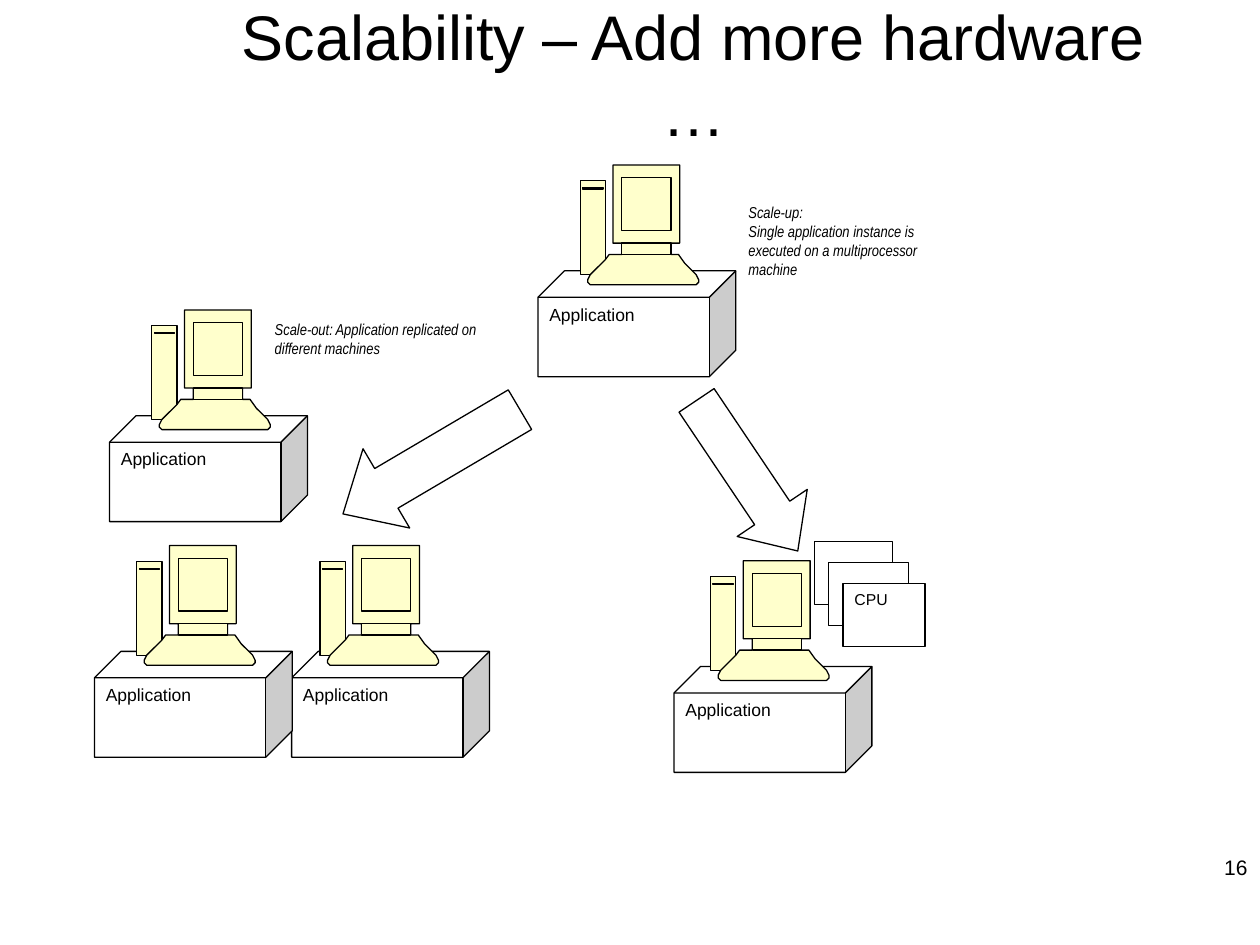
from copy import deepcopy
from dataclasses import dataclass
from typing import NamedTuple

from pptx import Presentation
from pptx import util as u
from pptx.dml.color import RGBColor
from pptx.enum import shapes, text
from pptx.oxml.ns import qn

BLACK = RGBColor(0x00, 0x00, 0x00)
WHITE = RGBColor(0xFF, 0xFF, 0xFF)
CREAM = RGBColor(0xFF, 0xFF, 0xCC)

# The slide is a grid of 100 columns by 75 rows
CELL = u.Inches(0.1)
COLUMNS, ROWS = 100, 75


class Area(NamedTuple):
    column: float
    row: float
    columns: float
    rows: float

    def lengths(self) -> list[int]:
        return [cells(value) for value in self]

    def corners(self) -> list[tuple[float, float]]:
        right, bottom = self.column + self.columns, self.row + self.rows
        return [(self.column, self.row), (right, self.row),
                (right, bottom), (self.column, bottom)]


@dataclass(frozen=True)
class Machine:
    column: float
    row: float
    computer_shift: float = 3.35


@dataclass(frozen=True)
class BlockArrow:
    area: Area
    rotation: float
    head: float


@dataclass(frozen=True)
class Label:
    area: Area
    words: str
    size: float
    font: str = "Arial"
    italic: bool = False
    align: text.PP_ALIGN = text.PP_ALIGN.LEFT
    anchor: text.MSO_ANCHOR = text.MSO_ANCHOR.TOP
    side_margin: float = 0.09


MIDDLE = text.MSO_ANCHOR.MIDDLE
LABELS = [
    Label(Area(15.1, 0.5, 79.9, 10.6), "Scalability – Add more hardware …", 36,
          align=text.PP_ALIGN.CENTER, anchor=MIDDLE, side_margin=0.15),
    Label(Area(76.7, 66.8, 23.3, 4), "16", 12,
          align=text.PP_ALIGN.RIGHT, anchor=MIDDLE, side_margin=0.1),
    Label(Area(20.9, 24.9, 17.9, 8.4),
          "Scale-out: Application replicated on different machines",
          9, "Arial Narrow", True),
    Label(Area(58.5, 15.6, 17.4, 12.4),
          "Scale-up:\nSingle application instance is executed on a "
          "multiprocessor machine", 9, "Arial Narrow", True),
]
MACHINES = [
    Machine(42.7, 21.5),
    Machine(23.15, 51.7, 2.25),
    Machine(7.5, 51.7),
    Machine(53.5, 52.9, 2.9),
    Machine(8.7, 33),
]
ARROWS = [
    BlockArrow(Area(26.1, 33, 16.3, 7.3), 329.5, 0.547),
    BlockArrow(Area(52.1, 34.4, 14.4, 6.7), 236.1, 0.543),
]

# Computer parts, measured from the computer's top left corner
COMPUTER_HEIGHT = 8.4  # rows from its top to the top of the cube
TOWER = Area(0, 1.25, 2, 7.45)
SLOT = Area(0.2, 1.8, 1.6, 0.1)
SCREEN = Area(3.3, 1, 3.9, 4.2)
NECK = Area(3.3, 6.2, 3.9, 0.9)
MONITOR_OUTLINE = [
    (2, 7.5), (2.3, 7.1), (3.3, 7.1), (3.3, 6.2), (2.6, 6.2), (2.6, 0),
    (7.9, 0), (7.9, 6.2), (7.2, 6.2), (7.2, 7.1), (7.8, 7.1), (8.3, 7.8),
    (9.2, 8.7), (9.4, 9.1), (9.4, 9.3), (9.2, 9.5), (0.8, 9.5), (0.6, 9.3),
    (0.6, 9.1), (0.8, 8.7),
]
COMPUTER = [TOWER.corners(), MONITOR_OUTLINE, SLOT.corners(),
            SCREEN.corners(), NECK.corners()]


def cells(count: float) -> int:
    return round(count * CELL)


def paint(shape, fill: RGBColor | None) -> None:
    shape.shadow.inherit = False
    if fill is None:
        shape.fill.background()
    else:
        shape.fill.solid()
        shape.fill.fore_color.rgb = fill
    shape.line.color.rgb = BLACK
    shape.line.width = u.Pt(0.75)


def write(shape, label: Label) -> None:
    frame = shape.text_frame
    frame.word_wrap = True
    frame.vertical_anchor = label.anchor
    frame.margin_left = frame.margin_right = u.Inches(label.side_margin)
    frame.margin_top = frame.margin_bottom = u.Inches(0.05)
    frame.text = label.words
    for para in frame.paragraphs:
        para.alignment = label.align
        for span in para.runs:
            span.font.name = label.font
            span.font.size = u.Pt(label.size)
            span.font.italic = label.italic
            span.font.color.rgb = BLACK


def draw_shape(page, kind, area: Area, fill: RGBColor | None):
    shape = page.shapes.add_shape(kind, *area.lengths())
    paint(shape, fill)
    return shape


def draw_label(page, label: Label) -> None:
    write(page.shapes.add_textbox(*label.area.lengths()), label)


def fill_outlines_separately(shape) -> None:
    """Give each outline its own path, so that inner ones are not holes."""
    whole = next(shape.element.iter(qn("a:path")))
    outline = None
    for step in list(whole):
        if step.tag == qn("a:moveTo"):
            outline = deepcopy(whole)
            for child in list(outline):
                outline.remove(child)
            whole.getparent().append(outline)
        outline.append(step)
    whole.getparent().remove(whole)


def draw_computer(page, column: float, row: float) -> None:
    outlines = [[(cells(column + x), cells(row + y)) for x, y in part]
                for part in COMPUTER]
    builder = page.shapes.build_freeform(*outlines[0][0])
    for points in outlines:
        if points is not outlines[0]:
            builder.move_to(*points[0])
        builder.add_line_segments(points[1:], close=True)
    computer = builder.convert_to_shape()
    paint(computer, CREAM)
    fill_outlines_separately(computer)


def draw_machine(page, machine: Machine) -> None:
    area = Area(machine.column, machine.row, 15.7, 8.4)
    cube = draw_shape(page, shapes.MSO_SHAPE.CUBE, area, WHITE)
    cube.adjustments[0] = 0.25
    write(cube, Label(area, "Application", 10))
    draw_computer(page, machine.column + machine.computer_shift,
                  machine.row - COMPUTER_HEIGHT)


def draw_arrow(page, arrow: BlockArrow) -> None:
    shape = draw_shape(page, shapes.MSO_SHAPE.LEFT_ARROW, arrow.area, WHITE)
    shape.adjustments[0] = 0.5
    shape.adjustments[1] = arrow.head
    shape.rotation = arrow.rotation


def draw_processors(page) -> None:
    for step, fill in enumerate((None, WHITE, WHITE)):
        area = Area(64.65 + 1.13 * step, 43 + 1.67 * step, 6.2 + 0.15 * step, 5)
        card = draw_shape(page, shapes.MSO_SHAPE.RECTANGLE, area, fill)
    write(card, Label(area, "CPU", 9))


def main() -> None:
    deck = Presentation()
    deck.slide_width, deck.slide_height = cells(COLUMNS), cells(ROWS)
    page = deck.slides.add_slide(deck.slide_layouts[6])

    # Machines before and after scaling
    for machine in MACHINES:
        draw_machine(page, machine)
    # Scale-out and scale-up directions
    for arrow in ARROWS:
        draw_arrow(page, arrow)
    # Title, page number and explanations
    for label in LABELS:
        draw_label(page, label)
    # Extra processors of the scaled-up machine
    draw_processors(page)

    deck.save("out.pptx")


if __name__ == "__main__":
    main()
